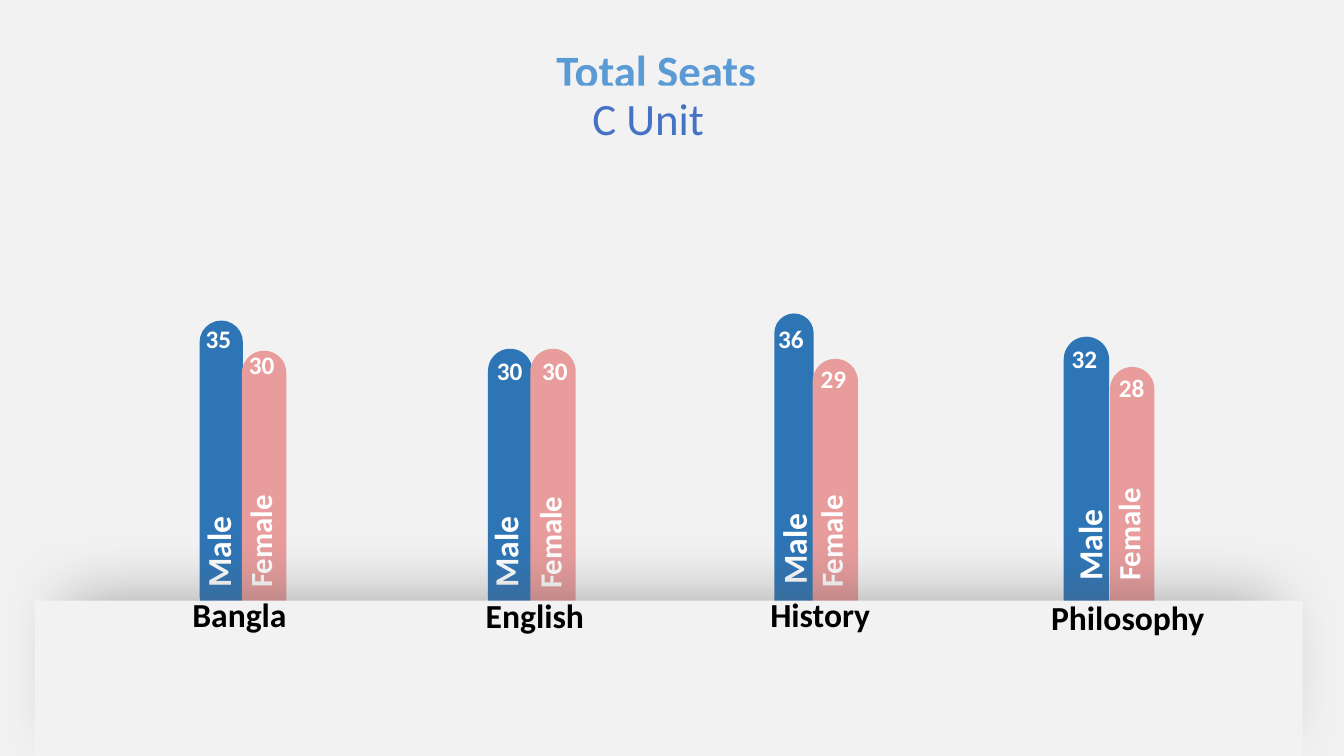
from pptx import Presentation
from pptx.dml.color import RGBColor
from pptx.enum.shapes import MSO_SHAPE as SHAPE
from pptx.enum.text import MSO_AUTO_SIZE as AUTO, PP_ALIGN as AL
from pptx.oxml import parse_xml
from pptx.oxml.ns import nsdecls
from pptx.util import Inches, Pt

C = {"back": "F2F2F2", "Male": "2E75B6", "Female": "E89C9C", "white": "FFFFFF",
     "black": "000000", "title": "5B9BD5", "shadow": "595959"}
UNIT_STOPS = [(0, "203864"), (50, "4472C4"), (100, "8FAADC")]
LABEL = {"Male": (24, 0.5), "Female": (22, 0.47)}  # text size, box height
FIT = 1.13  # length of a label box that hugs its text

# Subject: name, name box (left, top, width), alignment, then one entry per bar:
# kind, seats, bar box, seats at (left, top), label (centre x, bottom, length)
SUBJECTS = [
    ("Bangla", (1.81, 5.84, 1.86), AL.LEFT, [
        ("Male", 35, (1.98, 3.18, 0.43, 2.95), (1.94, 3.16), (2.16, 5.93, 1.12)),
        ("Female", 30, (2.4, 3.48, 0.44, 2.73), (2.37, 3.42), (2.58, 5.93, FIT))]),
    ("English", (3.88, 5.85, 2.85), AL.CENTER, [
        ("Male", 30, (4.84, 3.46, 0.44, 2.69), (4.83, 3.48), (5.01, 5.93, 1.12)),
        ("Female", 30, (5.26, 3.46, 0.45, 2.79), (5.28, 3.48), (5.45, 5.94, FIT))]),
    ("History", (6.73, 5.84, 2.81), AL.CENTER, [
        ("Male", 36, (7.68, 3.11, 0.39, 3.03), (7.62, 3.16), (7.87, 5.9, 1.12)),
        ("Female", 29, (8.06, 3.56, 0.45, 2.65), (8.04, 3.56), (8.24, 5.93, FIT))]),
    ("Philosophy", (10.04, 5.87, 2.29), AL.CENTER, [
        ("Male", 32, (10.55, 3.34, 0.45, 3.22), (10.53, 3.36), (10.8, 5.86, 1.12)),
        ("Female", 28, (11.01, 3.64, 0.44, 2.62), (11, 3.64), (11.19, 5.86, 2.35))]),
]

prs = Presentation()
prs.slide_width, prs.slide_height = Inches(13.33), Inches(7.5)
s = prs.slides.add_slide(prs.slide_layouts[6])
s.background.fill.solid()
s.background.fill.fore_color.rgb = RGBColor.from_string(C["back"])


def add_block(kind, box, color):
    sp = s.shapes.add_shape(kind, *map(Inches, box))
    sp.shadow.inherit = False
    sp.fill.solid()
    sp.fill.fore_color.rgb = RGBColor.from_string(C[color])
    sp.line.fill.background()
    return sp


def write(sp, text, size, color, align=AL.LEFT, bold=True, wrap=True):
    tf = sp.text_frame
    tf.word_wrap, tf.auto_size = wrap, AUTO.SHAPE_TO_FIT_TEXT
    p = tf.paragraphs[0]
    p.text, p.alignment = text, align
    f = p.font
    f.name, f.size, f.bold = "Calibri", Pt(size), bold
    f.color.rgb = RGBColor.from_string(C[color])
    return p


def add_text(box, *args, **kwargs):
    sp = s.shapes.add_textbox(*map(Inches, box))
    write(sp, *args, **kwargs)
    return sp


def add_bar_texts(subjects):
    for _, _, _, bars in subjects:
        for kind, seats, _, spot, (cx, bottom, length) in bars:
            size, height = LABEL[kind]
            box = (cx - length / 2, bottom - length / 2 - height / 2, length, height)
            add_text(box, kind, size, "white", wrap=length != FIT).rotation = 270
            add_text((*spot, 0.5, 0.4), str(seats), 18, "white")


# Bars
for _, _, _, bars in SUBJECTS:
    for kind, _, box, _, _ in bars:
        add_block(SHAPE.ROUNDED_RECTANGLE, box, kind).adjustments[0] = 0.5
add_bar_texts(SUBJECTS[:-1])

# Floor: a panel casting a soft shadow upwards, and a plain one over it
caster = add_block(SHAPE.RECTANGLE, (0.66, 6, 11.97, 1.31), "back")
effects = caster.element.spPr.find("{*}effectLst")
effects.append(parse_xml(
    f'<a:outerShdw {nsdecls("a")} blurRad="{Pt(47)}" dist="{Pt(4)}" dir="16200000" '
    f'algn="ctr" rotWithShape="0"><a:srgbClr val="{C["shadow"]}">'
    '<a:alpha val="50000"/></a:srgbClr></a:outerShdw>'))
add_block(SHAPE.RECTANGLE, (0.35, 5.96, 12.57, 1.56), "back")

# Texts in front of the floor
add_bar_texts(SUBJECTS[-1:])
for name, box, align, _ in SUBJECTS:
    add_text((*box, 0.5), name, 24, "black", align)

# Heading
add_text((3.96, 0.37, 5.1, 0.64), "Total Seats", 32, "title", AL.CENTER)
unit = add_block(SHAPE.RECTANGLE, (4.87, 0.85, 3.12, 0.64), "back")
p = write(unit, "C Unit", 32, "title", AL.CENTER, bold=False)
stops = "".join(f'<a:gs pos="{pos * 1000}"><a:srgbClr val="{color}"/></a:gs>'
                for pos, color in UNIT_STOPS)
rPr = p.runs[0].font
rPr.fill.gradient()
grad = p.runs[0]._r.rPr.find("{*}gradFill")
grad.getparent().replace(grad, parse_xml(
    f'<a:gradFill {nsdecls("a")}><a:gsLst>{stops}</a:gsLst>'
    '<a:lin ang="5400000" scaled="0"/></a:gradFill>'))

prs.save("out.pptx")
